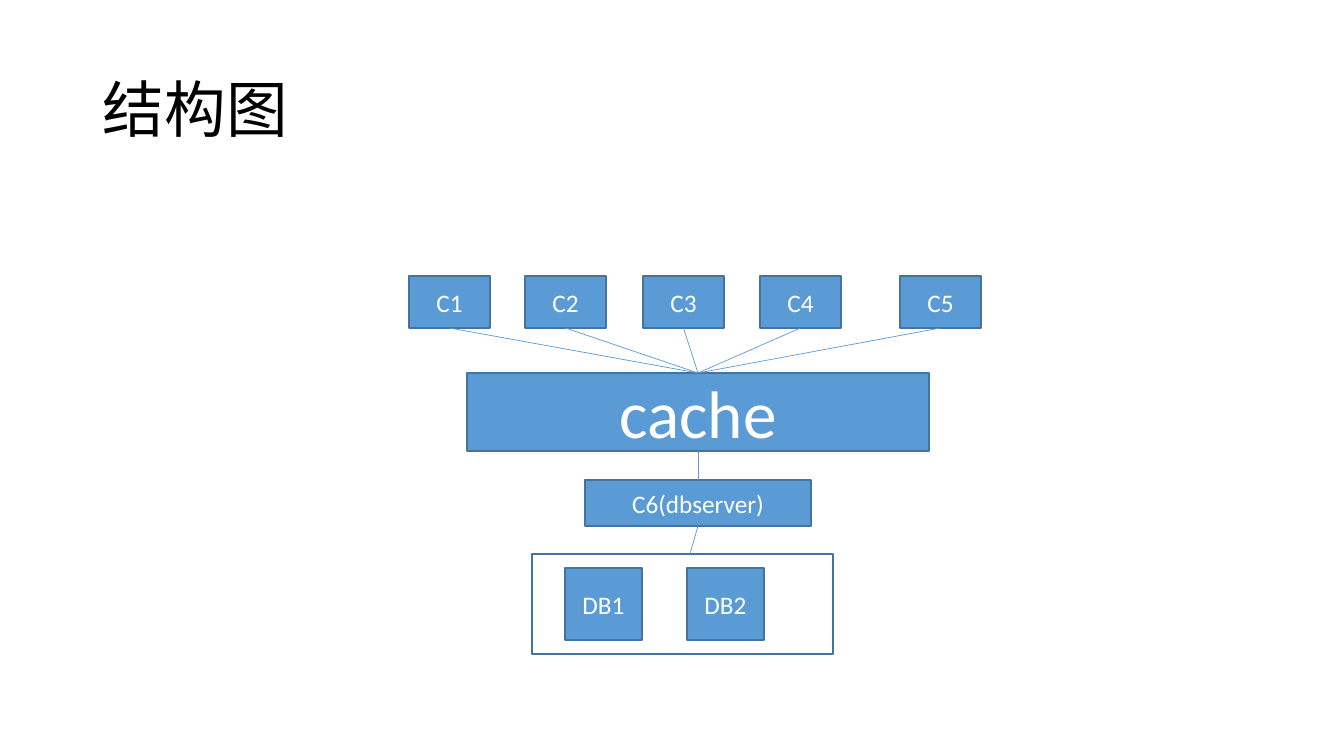
from dataclasses import dataclass

from lxml import etree
from pptx import Presentation
from pptx import util as u
from pptx.dml.color import RGBColor
from pptx.enum import shapes, text
from pptx.oxml import ns

WHITE = RGBColor(0xFF, 0xFF, 0xFF)
BLACK = RGBColor(0, 0, 0)
BLUE = RGBColor(0x5B, 0x9B, 0xD5)
EDGE = RGBColor(0x43, 0x73, 0x9E)
FONT = "Calibri"
SCALE = 12192000 / 1344
TOP, BOTTOM = 0, 2


def px(n: float) -> int:
    return round(n * SCALE)


@dataclass(frozen=True)
class Box:
    label: str
    left: int
    top: int
    width: int
    height: int
    size: int = 18
    fill: RGBColor = BLUE


def write(frame, label: str, size: int, color: RGBColor):
    frame.word_wrap = True
    frame.vertical_anchor = text.MSO_ANCHOR.MIDDLE
    para = frame.paragraphs[0]
    para.text = label
    para.font.name = FONT
    para.font.size = u.Pt(size)
    para.font.color.rgb = color
    return para


def draw(slide, box: Box):
    shape = slide.shapes.add_shape(
        shapes.MSO_SHAPE.RECTANGLE,
        px(box.left), px(box.top), px(box.width), px(box.height))
    shape.shadow.inherit = False
    shape.fill.solid()
    shape.fill.fore_color.rgb = box.fill
    shape.line.color.rgb = EDGE
    shape.line.width = u.Pt(1)
    if box.label:
        para = write(shape.text_frame, box.label, box.size, WHITE)
        para.alignment = text.PP_ALIGN.CENTER
    return shape


def link(slide, upper, lower, end: int | None = None) -> None:
    middle = lower.left + lower.width // 2
    line = slide.shapes.add_connector(
        shapes.MSO_CONNECTOR.STRAIGHT,
        upper.left + upper.width // 2, upper.top + upper.height,
        middle if end is None else px(end), lower.top)
    line.begin_connect(upper, BOTTOM)
    if end is None:
        line.end_connect(lower, TOP)
    line.line.color.rgb = BLUE
    line.line.width = u.Pt(0.5)
    etree.SubElement(line._element.spPr, ns.qn("a:effectLst"))


deck = Presentation()
deck.slide_width, deck.slide_height = px(1344), px(756)
slide = deck.slides.add_slide(deck.slide_layouts[6])

store = draw(slide, Box("", 532, 554, 301, 100, fill=WHITE))
title = slide.shapes.add_textbox(px(93), px(40), px(1159), px(146))
write(title.text_frame, "结构图", 44, BLACK).line_spacing = 0.9

cache = draw(slide, Box("cache", 467, 373, 462, 78, 48))
clients = [draw(slide, Box(f"C{i}", left, 276, 81, 52))
           for i, left in enumerate((409, 525, 643, 760, 900), 1)]
server = draw(slide, Box("C6(dbserver)", 585, 480, 226, 46))
for i, left in enumerate((565, 687), 1):
    draw(slide, Box(f"DB{i}", left, 568, 77, 72))

for client in clients:
    link(slide, client, cache)
link(slide, cache, server)
link(slide, server, store, 690)

deck.save("out.pptx")
